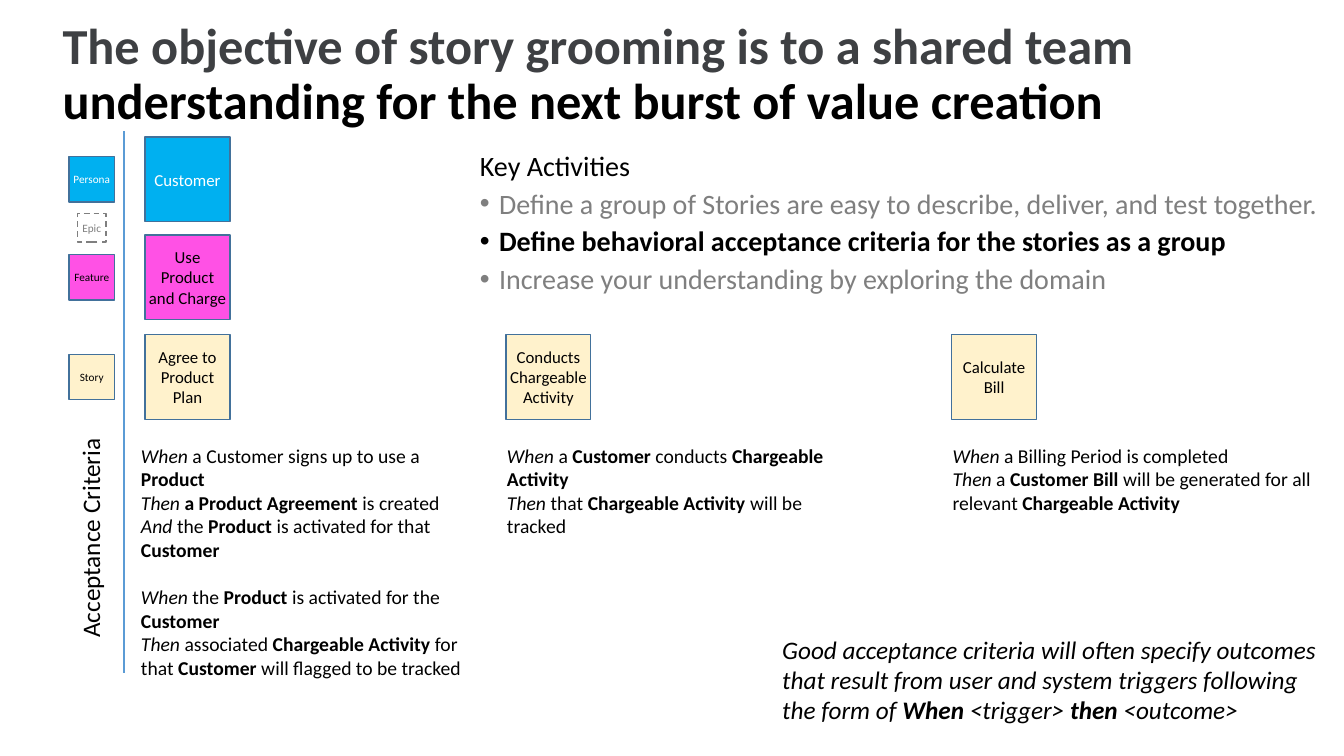
import pptx
import pptx.dml.color
import pptx.enum.dml
import pptx.enum.shapes
import pptx.enum.text
import pptx.oxml
import pptx.oxml.ns
import pptx.util

# Content: each paragraph is a list of (text, style), b = bold, i = italic
TITLE = [
    [("The objective of story grooming is to a shared team ", "b", "slate"),
     ("understanding for the next burst of value creation", "b")],
]
TASKS = [
    [("Key Activities", "")],
    [("Define a group of Stories are easy to describe, deliver, and test together.", "", "grey")],
    [("Define behavioral acceptance criteria for the stories as a group", "b")],
    [("Increase your understanding by exploring the domain", "", "grey")],
]
SIDE = [[("Acceptance Criteria", "")]]
HINT = [
    [("Good acceptance criteria will often specify outcomes that result from user "
      "and system triggers following the form of ", "i"),
     ("When", "bi"), (" <trigger> ", "i"), ("then", "bi"), (" <outcome>", "i")],
]
AGREE = [
    [("When", "i"), (" a Customer signs up to use a ", ""), ("Product", "b")],
    [("Then ", "i"), ("a Product Agreement ", "b"), ("is created", "")],
    [("And ", "i"), ("the ", ""), ("Product ", "b"),
     ("is activated for that ", ""), ("Customer", "b")],
    [("When", "i"), (" the ", ""), ("Product ", "b"),
     ("is activated for the ", ""), ("Customer", "b")],
    [("Then ", "i"), ("associated ", ""), ("Chargeable Activity ", "b"), ("for that ", ""),
     ("Customer ", "b"), ("will flagged to be tracked", "")],
]
TRACK = [
    [("When ", "i"), ("a ", ""), ("Customer ", "b"), ("conducts ", ""),
     ("Chargeable Activity", "b")],
    [("Then ", "i"), ("that ", ""), ("Chargeable Activity ", "b"), ("will be tracked", "")],
]
BILL = [
    [("When ", "i"), ("a Billing Period is completed", "")],
    [("Then ", "i"), ("a ", ""), ("Customer Bill ", "b"),
     ("will be generated for all relevant ", ""), ("Chargeable Activity", "b")],
]
# Criteria: text, left, width, height
RULES = [(AGREE, 130, 350, 246), (TRACK, 493, 369, 119), (BILL, 935, 396, 81)]

# Tile centres
ROWS = {"persona": 178, "epic": 226, "feature": 275, "story": 374}
COLS = {"key": 91, "agree": 186, "track": 544, "bill": 986}
# Tiles: lines, column, row
TILES = [
    (["Persona"], "key", "persona"),
    (["Epic"], "key", "epic"),
    (["Feature"], "key", "feature"),
    (["Story"], "key", "story"),
    (["Customer"], "agree", "persona"),
    (["Use Product and Charge"], "agree", "feature"),
    (["Agree to Product Plan"], "agree", "story"),
    (["Conducts Chargeable Activity"], "track", "story"),
    (["Calculate", "Bill"], "bill", "story"),
]

THEME = {
    "font": "Calibri",
    "color": {"black": "000000", "white": "FFFFFF", "slate": "3E4043", "grey": "7F7F7F",
              "edge": "42719B", "rule": "5B9BD5",
              "persona": "00B0F0", "feature": "FF51E5", "story": "FFF2CC"},
    "size": {"title": 36, "list": 20, "note": 18, "rule": 14, "tile": 12, "key": 8},
}
SCALE = 9144  # EMU in one px, 100 px to the inch
ALIGN = pptx.enum.text.PP_ALIGN
ANCHOR = pptx.enum.text.MSO_ANCHOR


def px(*nums):
    return [pptx.util.Emu(round(n * SCALE)) for n in nums]


def tint(name):
    return pptx.dml.color.RGBColor.from_string(THEME["color"][name])


def write(shape, paras, size, color="black", align=ALIGN.LEFT, anchor=ANCHOR.TOP,
          pad=(10, 5), gaps=None, lead=None):
    """Fill a shape with styled paragraphs; gaps maps a paragraph index to points before it."""
    frame = shape.text_frame
    frame.word_wrap = True
    frame.auto_size = pptx.enum.text.MSO_AUTO_SIZE.NONE
    frame.vertical_anchor = anchor
    frame.margin_left, frame.margin_top = frame.margin_right, frame.margin_bottom = px(*pad)
    for n, runs in enumerate(paras):
        para = frame.paragraphs[0] if n == 0 else frame.add_paragraph()
        para.alignment = align
        para.space_before = pptx.util.Pt((gaps or {}).get(n, 0))
        if lead:
            para.line_spacing = lead
        for text, style, *hue in runs:
            run = para.add_run()
            run.text = text
            run.font.name = THEME["font"]
            run.font.size = pptx.util.Pt(THEME["size"][size])
            run.font.bold = "b" in style
            run.font.italic = "i" in style
            run.font.color.rgb = tint(hue[0] if hue else color)


def place(shape, *box):
    shape.left, shape.top, shape.width, shape.height = px(*box)
    return shape


def bullet(para, name):
    props = para._p.get_or_add_pPr()
    mark = f'<a:buNone {pptx.oxml.ns.nsdecls("a")}/>'
    dent = 0
    if name:
        dent = 19 * SCALE
        space = pptx.oxml.ns.nsdecls("a")
        props.append(pptx.oxml.parse_xml(
            f'<a:buClr {space}><a:srgbClr val="{THEME["color"][name]}"/></a:buClr>'))
        props.append(pptx.oxml.parse_xml(f'<a:buFont {space} typeface="Arial"/>'))
        mark = f'<a:buChar {space} char="•"/>'
    props.append(pptx.oxml.parse_xml(mark))
    props.set("marL", str(dent))
    props.set("indent", str(-dent))


def tile(slide, lines, col, row):
    small, epic = col == "key", row == "epic"
    side = 28 if epic else 45 if small else 84
    box = px(COLS[col] - side / 2, ROWS[row] - side / 2, side, side)
    shape = slide.shapes.add_shape(pptx.enum.shapes.MSO_SHAPE.RECTANGLE, *box)
    shape.shadow.inherit = False
    shape.line.width = pptx.util.Pt(1)
    shape.line.color.rgb = tint("grey" if epic else "edge")
    if epic:
        shape.fill.background()
        shape.line.dash_style = pptx.enum.dml.MSO_LINE.DASH
    else:
        shape.fill.solid()
        shape.fill.fore_color.rgb = tint(row)
    color = {"epic": "grey", "persona": "white"}.get(row, "black")
    write(shape, [[(line, "")] for line in lines], "key" if small else "tile", color,
          align=ALIGN.CENTER, anchor=ANCHOR.MIDDLE, pad=(3, 3))


def main():
    deck = pptx.Presentation()
    deck.slide_width, deck.slide_height = px(1333, 750)
    slide = deck.slides.add_slide(deck.slide_layouts[1])
    shapes = slide.shapes

    # Title and key activities
    write(place(shapes.title, 52, 16, 1265, 108), TITLE, "title", lead=0.9)
    body = place(slide.placeholders[1], 466, 142, 851, 157)
    write(body, TASKS, "list", gaps={1: 3, 2: 3, 3: 3})
    for para, name in zip(body.text_frame.paragraphs, [None, "grey", "black", "grey"]):
        bullet(para, name)

    # Divider between the key and the map
    rule = shapes.add_connector(pptx.enum.shapes.MSO_CONNECTOR.STRAIGHT,
                                *px(123, 130, 123, 668))
    rule.line.color.rgb = tint("rule")
    rule.line.width = pptx.util.Pt(0.75)
    rule._element.spPr.append(
        pptx.oxml.parse_xml(f'<a:effectLst {pptx.oxml.ns.nsdecls("a")}/>'))

    # Story map
    for item in TILES:
        tile(slide, *item)

    # Acceptance criteria
    for paras, left, width, height in RULES:
        box = shapes.add_textbox(*px(left, 435, width, height))
        write(box, paras, "rule", gaps={3: 17})
    side = shapes.add_textbox(*px(-24, 509, 227, 40))
    side.rotation = 270
    write(side, SIDE, "note")
    write(shapes.add_textbox(*px(766, 624, 565, 101)), HINT, "note")

    deck.save("out.pptx")


if __name__ == "__main__":
    main()
